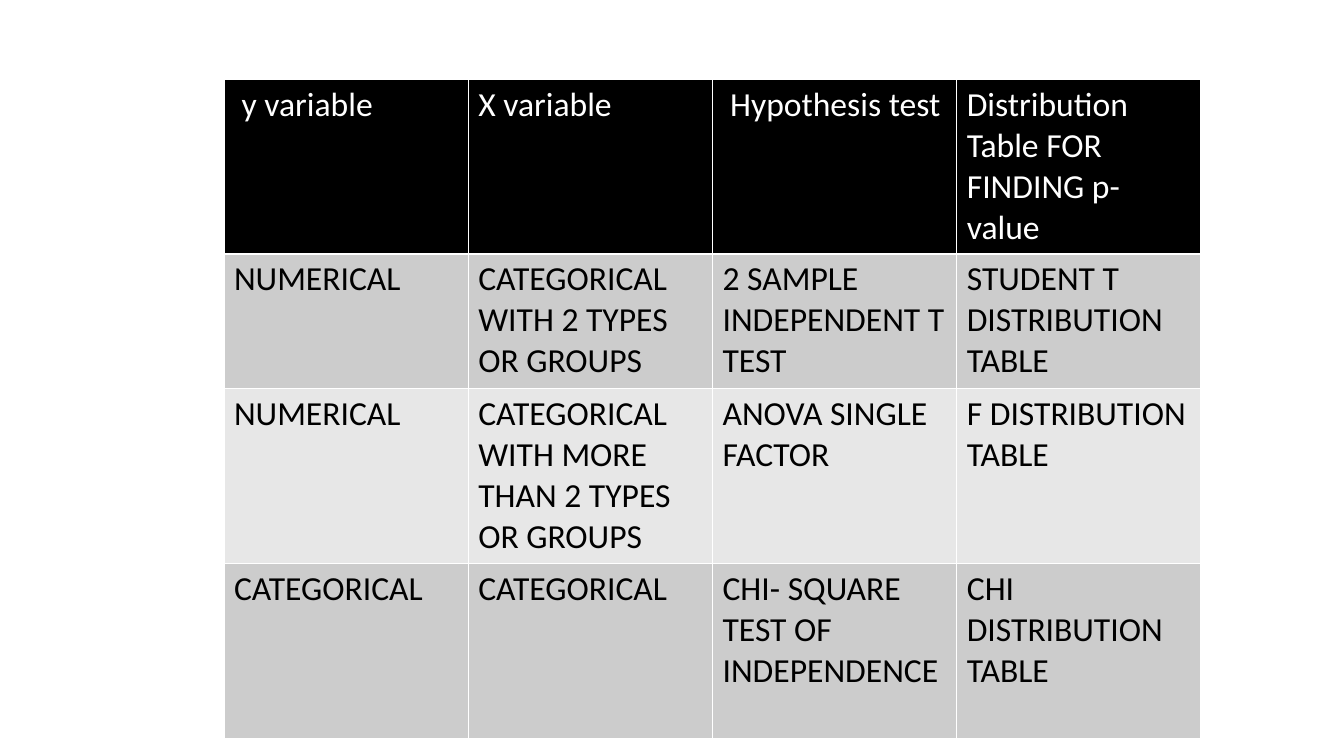
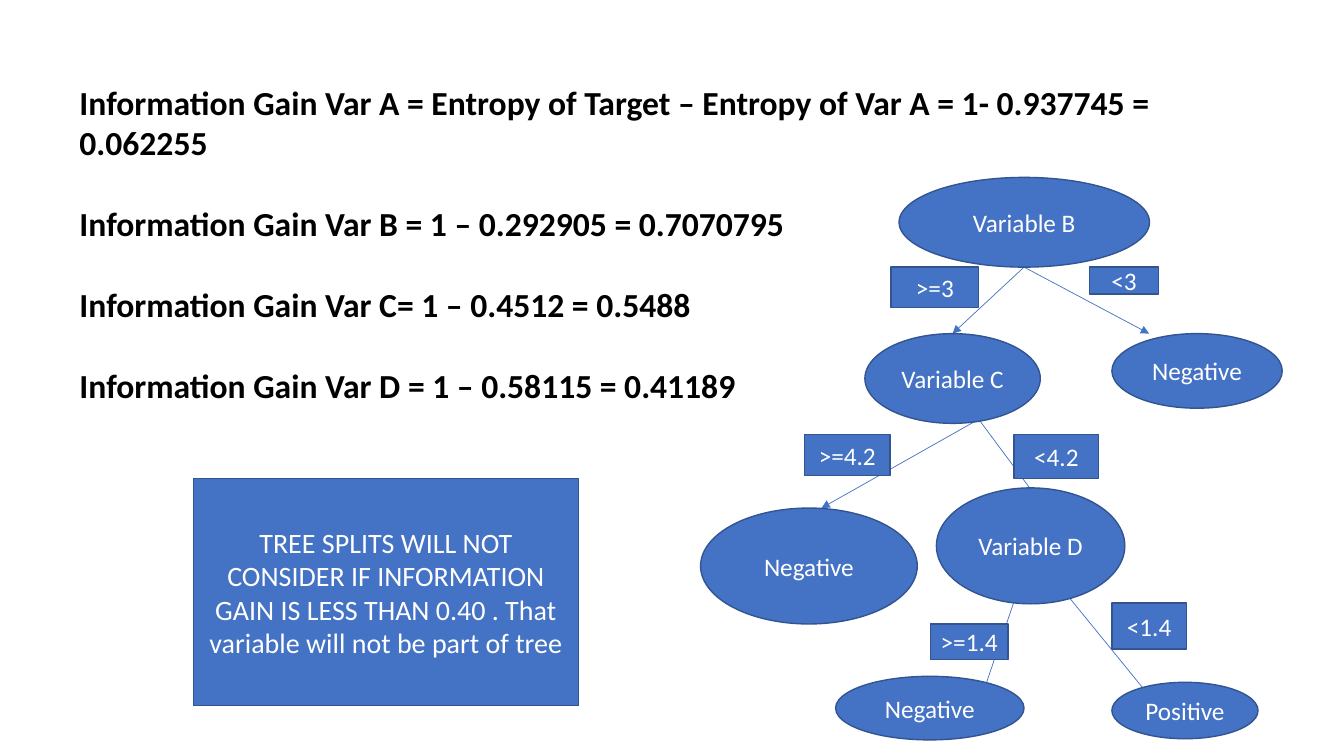
"""Build two slides: a hypothesis test table and a decision tree from information gain."""
from lxml import etree
from pptx import Presentation
from pptx.dml.color import RGBColor
from pptx.enum.shapes import MSO_CONNECTOR, MSO_SHAPE
from pptx.enum.text import MSO_ANCHOR, PP_ALIGN
from pptx.oxml import parse_xml
from pptx.oxml.ns import nsdecls, qn
from pptx.util import Pt

FONT = "Calibri"
COLORS = {
    "white": "FFFFFF", "black": "000000", "band": "CCCCCC", "light": "E7E7E7",
    "blue": "4472C4", "outline": "325491",
}

TESTS = [
    (" y variable", "X variable", " Hypothesis test", "Distribution Table FOR FINDING p-value"),
    ("NUMERICAL", "CATEGORICAL WITH 2 TYPES OR GROUPS", "2 SAMPLE INDEPENDENT T TEST",
     "STUDENT T DISTRIBUTION TABLE"),
    ("NUMERICAL", "CATEGORICAL WITH MORE THAN 2 TYPES OR GROUPS", "ANOVA SINGLE FACTOR",
     "F DISTRIBUTION TABLE"),
    ("CATEGORICAL", "CATEGORICAL", "CHI- SQUARE TEST OF INDEPENDENCE", "CHI DISTRIBUTION TABLE"),
]
ROW_FILLS = ["black", "band", "light", "band"]
ROW_HEIGHTS = [124, 96, 125, 125]
COL_WIDTH = 174.5

GAINS = [
    "Information Gain Var A = Entropy of Target – Entropy of Var A = 1- 0.937745 = 0.062255",
    "Information Gain Var B = 1 – 0.292905 = 0.7070795",
    "Information Gain Var C= 1 – 0.4512 = 0.5488",
    "Information Gain Var D = 1 – 0.58115 = 0.41189",
]
NOTE = ("TREE SPLITS WILL NOT CONSIDER IF INFORMATION GAIN IS LESS THAN 0.40 . "
        "That variable will not be part of tree")

EDGES = [
    (731.5, 190.8, 680.4, 238.3), (731.5, 190.8, 820.8, 238.3),
    (699.1, 299.5, 743, 358.6), (699.1, 299.5, 586.8, 362.9),
    (727.2, 421.2, 699.1, 504), (757.4, 419, 826.6, 504),
]
NODES = [
    ("Variable B", 642.2, 126.7, 178.9, 64.1),
    ("Variable C", 617.8, 238.3, 125.3, 64.1),
    ("Negative", 794.2, 238.3, 121.7, 53.3),
    ("Variable D", 668.9, 348.5, 134.6, 82.8),
    ("Negative", 500.4, 362.9, 154.8, 82.8),
    ("Negative", 596.9, 483.1, 134.6, 45.4),
    ("Positive", 794.2, 487.4, 104.4, 40.3),
]
SPLITS = [
    (">=3", 636.5, 190.8, 62.6, 28.8), ("<3", 778.3, 190.8, 49, 19.4),
    (">=4.2", 574.6, 310.3, 61.2, 29.5), ("<4.2", 724.3, 310.3, 60.5, 31.7),
    (">=1.4", 664.6, 445.7, 55.4, 25.2), ("<1.4", 794.2, 430.6, 53.3, 33.1),
]


def rgb(name):
    return RGBColor.from_string(COLORS[name])


def style(p, size, color, bold=False):
    for r in p.runs:
        r.font.name, r.font.size, r.font.bold = FONT, Pt(size), bold
        r.font.color.rgb = rgb(color)


def add_borders(cell):
    tc_pr = cell._tc.get_or_add_tcPr()
    for i, side in enumerate(("lnL", "lnR", "lnT", "lnB")):
        tc_pr.insert(i, parse_xml(
            f'<a:{side} {nsdecls("a")} w="{Pt(1)}"><a:solidFill>'
            f'<a:srgbClr val="{COLORS["white"]}"/></a:solidFill></a:{side}>'))


def add_tests(slide):
    table = slide.shapes.add_table(
        len(TESTS), len(TESTS[0]), Pt(160), Pt(57),
        Pt(COL_WIDTH * len(TESTS[0])), Pt(sum(ROW_HEIGHTS))).table
    for col in table.columns:
        col.width = Pt(COL_WIDTH)
    for i, (texts, fill, height) in enumerate(zip(TESTS, ROW_FILLS, ROW_HEIGHTS)):
        table.rows[i].height = Pt(height)
        for j, text in enumerate(texts):
            cell = table.cell(i, j)
            cell.text = text
            cell.fill.solid()
            cell.fill.fore_color.rgb = rgb(fill)
            add_borders(cell)
            style(cell.text_frame.paragraphs[0], 24, "black" if i else "white")


def add_gains(slide):
    tf = slide.shapes.add_textbox(Pt(49.7), Pt(25.2), Pt(866), Pt(356.4)).text_frame
    tf.word_wrap = True
    tf.margin_top = Pt(33)
    tf.text = "\n".join(GAINS)
    for p in tf.paragraphs:
        p.space_after = Pt(29)
        style(p, 24, "black", bold=True)


def add_box(slide, kind, text, left, top, width, height, size=18, wrap=False):
    sp = slide.shapes.add_shape(kind, Pt(left), Pt(top), Pt(width), Pt(height))
    sp.shadow.inherit = False
    sp.fill.solid()
    sp.fill.fore_color.rgb = rgb("blue")
    sp.line.color.rgb = rgb("outline")
    sp.line.width = Pt(1)
    tf = sp.text_frame
    tf.text = text
    tf.word_wrap = wrap
    tf.vertical_anchor = MSO_ANCHOR.MIDDLE
    p = tf.paragraphs[0]
    p.alignment = PP_ALIGN.CENTER
    style(p, size, "white")


def add_arrow(slide, *ends):
    line = slide.shapes.add_connector(MSO_CONNECTOR.STRAIGHT, *map(Pt, ends))
    line.line.color.rgb = rgb("blue")
    line.line.width = Pt(0.5)
    sp_pr = line._element.spPr
    etree.SubElement(sp_pr.find(qn("a:ln")), qn("a:tailEnd"), type="triangle")
    etree.SubElement(sp_pr, qn("a:effectLst"))


def add_tree(slide):
    for edge in EDGES:
        add_arrow(slide, *edge)
    for node in NODES:
        add_box(slide, MSO_SHAPE.OVAL, *node)
    for split in SPLITS:
        add_box(slide, MSO_SHAPE.RECTANGLE, *split)


def main():
    prs = Presentation()
    prs.slide_width, prs.slide_height = Pt(960), Pt(540)
    blank = prs.slide_layouts[6]
    add_tests(prs.slides.add_slide(blank))
    s = prs.slides.add_slide(blank)
    add_gains(s)
    add_tree(s)
    add_box(s, MSO_SHAPE.RECTANGLE, NOTE, 138.2, 342, 275, 162, size=20, wrap=True)
    prs.save("out.pptx")


if __name__ == "__main__":
    main()
